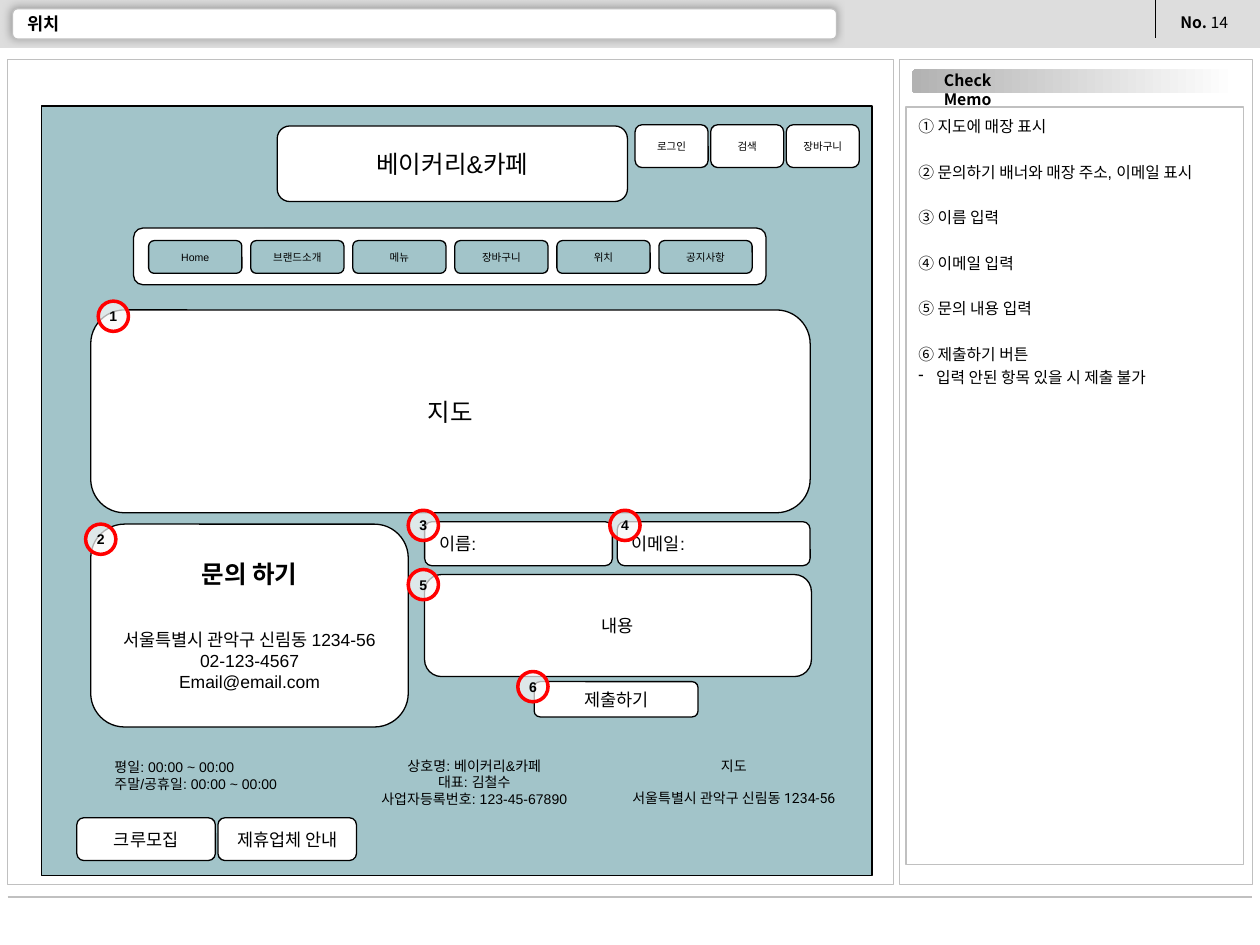
from lxml import etree
from pptx import Presentation
from pptx.dml.color import RGBColor
from pptx.enum.shapes import MSO_CONNECTOR, MSO_SHAPE
from pptx.enum.text import MSO_ANCHOR, PP_ALIGN
from pptx.oxml.ns import qn
from pptx.util import Inches, Pt

RECT, ROUND, OVAL = MSO_SHAPE.RECTANGLE, MSO_SHAPE.ROUNDED_RECTANGLE, MSO_SHAPE.OVAL
LEFT, CENTER = PP_ALIGN.LEFT, PP_ALIGN.CENTER
TOP, MIDDLE = MSO_ANCHOR.TOP, MSO_ANCHOR.MIDDLE
STRAIGHT = MSO_CONNECTOR.STRAIGHT
BODY_FONT, HEADER_FONT = "Arial", "Noto Sans CJK KR"
COLORS = {"white": "FFFFFF", "black": "000000", "band": "DDDDDD", "rule": "C0C0C0",
          "teal": "A2C4C9", "silver": "B2B2B2", "red": "FF0000", "marker": "F8F8F8",
          "shadow": "989898"}
ADDRESS = "서울특별시 관악구 신림동 1234-56"


def color(name):
    return RGBColor.from_string(COLORS[name])


def grid_row(left, top, width, height, pitch, count):
    return [(left + pitch * column, top, width, height) for column in range(count)]


def format_frame(frame, anchor, inset_x=0.1, inset_y=0.05):
    frame.word_wrap = True
    frame.vertical_anchor = anchor
    frame.margin_left = frame.margin_right = Inches(inset_x)
    frame.margin_top = frame.margin_bottom = Inches(inset_y)


def format_para(para, size, align=CENTER, font=BODY_FONT, bold=False):
    para.alignment = align
    para.font.size = Pt(size)
    para.font.name = font
    para.font.bold = bold
    para.font.color.rgb = color("black")


def write_lines(frame, lines, size, **style):
    """Fill the frame with one paragraph a line and return the paragraphs."""
    for number, line in enumerate(lines):
        para = frame.add_paragraph() if number else frame.paragraphs[0]
        para.text = line
        format_para(para, size, **style)
    return frame.paragraphs


def add_box(shapes, kind, place, fill="white", line="black", weight=0.75):
    box = shapes.add_shape(kind, *map(Inches, place))
    if fill:
        box.fill.solid()
        box.fill.fore_color.rgb = color(fill)
    if line:
        box.line.color.rgb = color(line)
        box.line.width = Pt(weight)
    else:
        box.line.fill.background()
    box.shadow.inherit = False
    return box


def add_button(shapes, place, lines, size, fill="white", align=CENTER):
    box = add_box(shapes, ROUND, place, fill)
    format_frame(box.text_frame, MIDDLE, inset_y=0.1)
    return write_lines(box.text_frame, lines, size, align=align)


def add_label(shapes, place, lines, size, **style):
    box = shapes.add_textbox(*map(Inches, place))
    format_frame(box.text_frame, TOP)
    return write_lines(box.text_frame, lines, size, **style)


def add_rule(page, start, end, line, weight):
    rule = page.shapes.add_connector(STRAIGHT, *map(Inches, start + end))
    rule.line.color.rgb = color(line)
    rule.line.width = Pt(weight)
    etree.SubElement(rule.element.spPr, qn("a:effectLst"))


def add_marker(page, left, top, number):
    marker = add_box(page.shapes, OVAL, (left, top, 0.24, 0.24), "marker", "red", 2)
    fill = marker.element.spPr.find(qn("a:solidFill")).find(qn("a:srgbClr"))
    etree.SubElement(fill, qn("a:alpha"), val="70000")
    format_frame(marker.text_frame, MIDDLE, inset_x=0.04)
    write_lines(marker.text_frame, [str(number)], 8, bold=True)


def add_soft_shadow(box):
    effects = box.element.spPr.find(qn("a:effectLst"))
    shadow = etree.SubElement(effects, qn("a:outerShdw"), blurRad=str(Pt(5)),
                              dist=str(Pt(1.4)), dir=str(225 * 60000))
    etree.SubElement(shadow, qn("a:srgbClr"), val=COLORS["shadow"])


def add_header(page):
    add_box(page.shapes, RECT, (0, 0, 10, 0.38), "band", None)
    add_rule(page, (9.17, 0), (9.17, 0.3), "black", 0.75)
    number = add_label(page.shapes, (9.27, 0.05, 0.62, 0.25), ["No. "], 9,
                       align=LEFT, font=HEADER_FONT)[0]
    number.runs[0].font.bold = True
    number.add_run().text = "14"
    add_soft_shadow(add_box(page.shapes, ROUND, (0.1, 0.07, 6.54, 0.24), line="rule"))

    title = page.shapes.title
    title.left, title.top, title.width, title.height = map(Inches, (0.12, 0.1, 5.42, 0.18))
    format_frame(title.text_frame, MIDDLE)
    write_lines(title.text_frame, ["위치"], 10, align=LEFT, bold=True)
    title.element.getparent().append(title.element)


def add_panels(page):
    add_rule(page, (0.06, 7.12), (9.94, 7.12), "rule", 1.5)
    for left, width in ((7.14, 2.8), (0.06, 7.03)):
        add_box(page.shapes, RECT, (left, 0.47, width, 6.55), line="rule")
    strip = add_box(page.shapes, ROUND, (7.24, 0.55, 2.57, 0.19), None, None)
    strip.fill.gradient()
    strip.fill.gradient_angle = 180
    for stop, name in zip(strip.fill.gradient_stops, ("white", "silver")):
        stop.color.rgb = color(name)
    add_label(page.shapes, (7.23, 0.51, 0.9, 0.25), ["Check Memo"], 9,
              font=HEADER_FONT, bold=True)


def add_site_frame(page):
    """Draw the parts that every page of the shop's site shares."""
    site = page.shapes.add_group_shape().shapes
    add_box(site, RECT, (0.33, 0.84, 6.59, 6.11), "teal")
    add_button(site, (2.2, 1, 2.78, 0.6), ["베이커리&카페"], 14)
    add_box(site, ROUND, (1.06, 1.81, 5.02, 0.45))

    button_rows = (
        ((5.04, 0.99, 0.58, 0.34, 0.6), 6, "white", ("로그인", "검색", "장바구니")),
        ((1.18, 1.91, 0.74, 0.26, 0.81), 6, "teal",
         ("Home", "브랜드소개", "메뉴", "장바구니", "위치", "공지사항")),
        ((0.61, 6.49, 1.1, 0.34, 1.12), 10, "white", ("크루모집", "제휴업체 안내")),
    )
    for grid, size, fill, names in button_rows:
        for place, name in zip(grid_row(*grid, len(names)), names):
            add_button(site, place, [name], size, fill)

    add_label(site, (0.81, 5.97, 1.73, 0.37),
              ["평일: 00:00 ~ 00:00", "주말/공휴일: 00:00 ~ 00:00"], 8, align=LEFT)
    add_label(site, (2.8, 5.96, 1.93, 0.5),
              ["상호명: 베이커리&카페", "대표: 김철수", "사업자등록번호: 123-45-67890"], 8)
    location = add_label(site, (4.86, 5.96, 1.93, 0.5), ["지도", ADDRESS], 8)
    location[1].space_before = Pt(9)
    location[1].font.name = "Roboto"


def add_contact_form(page):
    shapes = page.shapes
    add_button(shapes, (0.72, 2.46, 5.71, 1.61), ["지도"], 14)
    contact = add_button(shapes, (0.72, 4.16, 2.52, 1.61),
                         ["문의 하기", ADDRESS, "02-123-4567", "Email@email.com"], 10)
    format_para(contact[0], 14, bold=True)
    contact[1].space_before = Pt(23)
    add_button(shapes, (3.37, 4.14, 1.49, 0.35), ["이름:"], 10, align=LEFT)
    add_button(shapes, (4.9, 4.14, 1.53, 0.35), ["이메일:"], 10, align=LEFT)
    add_button(shapes, (3.37, 4.56, 3.07, 0.81), ["내용"], 10)
    add_button(shapes, (4.24, 5.41, 1.3, 0.28), ["제출하기"], 10)

    spots = ((0.78, 2.39), (0.68, 4.16), (3.24, 4.05), (4.84, 4.05), (3.24, 4.52), (4.11, 5.33))
    for number, (left, top) in enumerate(spots, 1):
        add_marker(page, left, top, number)


def add_memo(page):
    box = add_box(page.shapes, RECT, (7.19, 0.85, 2.68, 6.01), line="rule")
    format_frame(box.text_frame, TOP)
    notes = ["① 지도에 매장 표시", "② 문의하기 배너와 매장 주소, 이메일 표시", "③ 이름 입력",
             "④ 이메일 입력", "⑤ 문의 내용 입력", "⑥ 제출하기 버튼",
             "입력 안된 항목 있을 시 제출 불가"]
    paras = write_lines(box.text_frame, notes, 9, align=LEFT)
    for para in paras:
        para.line_spacing = 1.2
    for para in paras[1:-1]:
        para.space_before = Pt(13)
    detail = paras[-1].element if hasattr(paras[-1], "element") else paras[-1]._p
    properties = detail.get_or_add_pPr()
    properties.set("marL", str(Inches(0.14)))
    properties.set("indent", str(-Inches(0.14)))
    bullet = etree.Element(qn("a:buChar"), char="-")
    properties.find(qn("a:defRPr")).addprevious(bullet)


def main():
    deck = Presentation()
    deck.slide_width, deck.slide_height = Inches(10), Inches(7.5)
    page = deck.slides.add_slide(deck.slide_layouts[5])
    add_header(page)
    add_panels(page)
    add_site_frame(page)
    add_contact_form(page)
    add_memo(page)
    deck.save("out.pptx")


if __name__ == "__main__":
    main()
